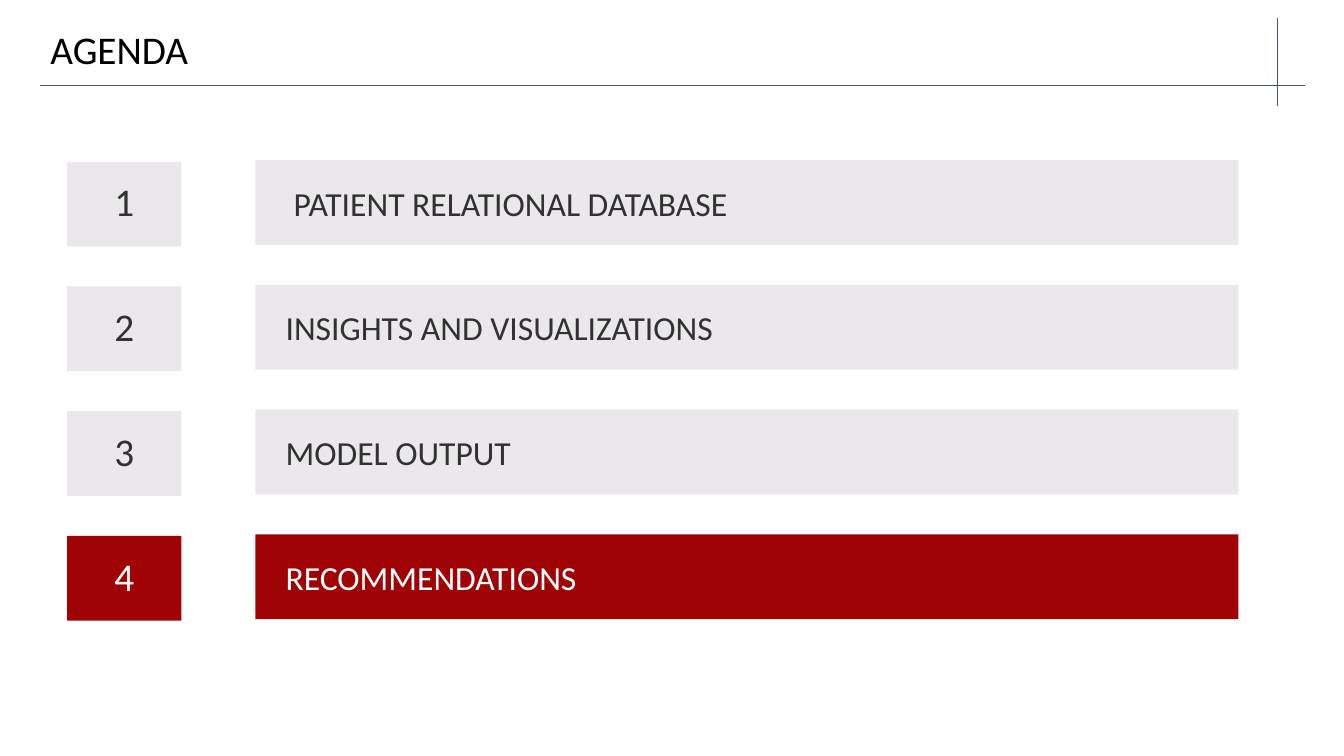
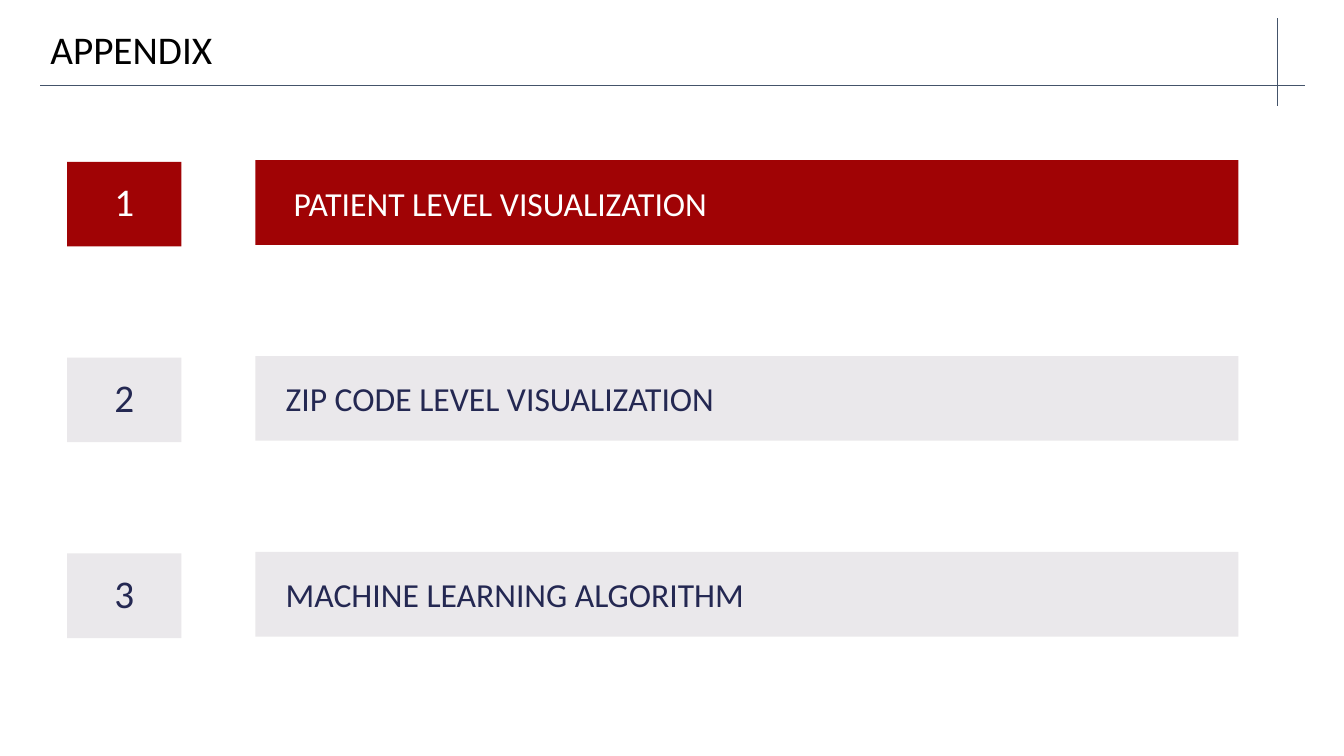
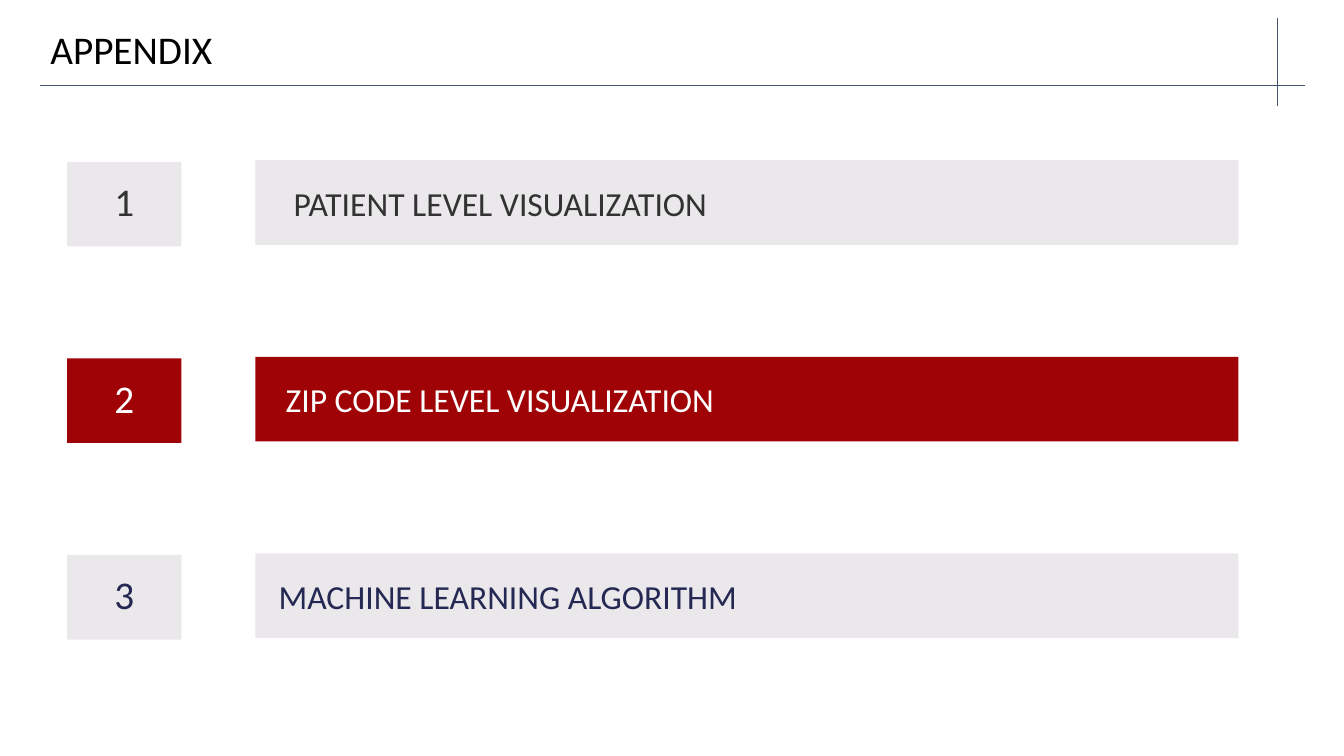
from lxml import etree
from pptx import Presentation
from pptx import util as u
from pptx.dml.color import RGBColor
from pptx.enum import shapes, text
from pptx.oxml import ns

FONT = "Calibri"
RED, PALE, GREY, NAVY = "A00305", "EAE8EB", "323232", "242852"
WHITE, BLACK, RULE = "FFFFFF", "000000", "44546A"

prs = Presentation()
prs.slide_width, prs.slide_height = u.Inches(13.33), u.Inches(7.5)


def rgb(hex_string):
    return RGBColor.from_string(hex_string)


def share(*percents):
    sides = (prs.slide_width, prs.slide_height)
    return [u.Emu(round(v / 100 * sides[i % 2])) for i, v in enumerate(percents)]


LEFT, TOP, RIGHT, RULE_Y = 3, 2.4, 95.05, 11.33
ROW_TOP, ROW_H = 21.2, 11.2
NUM_X, NUM_W, NUM_DROP = 5, 8.5, 0.2
BAR_X, BAR_W = 19, 73.15

slides = [
    ("AGENDA", 4, 16.5, [
        ("PATIENT RELATIONAL DATABASE", 0.38, GREY),
        ("INSIGHTS AND VISUALIZATIONS", 0.3, GREY),
        ("MODEL OUTPUT", 0.3, GREY),
        ("RECOMMENDATIONS", 0.3, GREY)]),
    ("APPENDIX", 1, 25.9, [
        ("PATIENT LEVEL VISUALIZATION", 0.38, GREY),
        ("ZIP CODE LEVEL VISUALIZATION", 0.3, NAVY),
        ("MACHINE LEARNING ALGORITHM", 0.3, NAVY)]),
    ("APPENDIX", 2, 26, [
        ("PATIENT LEVEL VISUALIZATION", 0.38, GREY),
        ("ZIP CODE LEVEL VISUALIZATION", 0.3, NAVY),
        ("MACHINE LEARNING ALGORITHM", 0.23, NAVY)]),
]

layout = prs.slide_layouts[5]
title = layout.shapes.title if hasattr(layout.shapes, "title") else layout.placeholders[0]
title.left, title.top, title.width, title.height = share(LEFT, TOP, RIGHT - LEFT, RULE_Y - TOP)

for heading, active, pitch, rows in slides:
    s = prs.slides.add_slide(layout)
    tf = s.shapes.title.text_frame
    tf.text = heading
    tf.auto_size = text.MSO_AUTO_SIZE.NONE
    tf.vertical_anchor = text.MSO_ANCHOR.MIDDLE
    p = tf.paragraphs[0]
    p.alignment = text.PP_ALIGN.LEFT
    p.line_spacing = 0.9
    p.font.name, p.font.size = FONT, u.Pt(28)
    p.font.color.rgb = rgb(BLACK)

    for i, (label, indent, ink) in enumerate(rows):
        number = i + 1
        fill, color = (RED, WHITE) if number == active else (PALE, ink)
        y = ROW_TOP + i * pitch
        cells = [
            (label, BAR_X, y, BAR_W, 24, text.PP_ALIGN.LEFT, indent, 1.0),
            (str(number), NUM_X, y + NUM_DROP, NUM_W, 28, text.PP_ALIGN.CENTER, 0, 0.9),
        ]
        for words, x, top, w, size, align, inset, spacing in cells:
            sp = s.shapes.add_shape(shapes.MSO_SHAPE.RECTANGLE, *share(x, top, w, ROW_H))
            sp.shadow.inherit = False
            sp.fill.solid()
            sp.fill.fore_color.rgb = rgb(fill)
            sp.line.fill.background()
            tf = sp.text_frame
            tf.margin_left = u.Inches(inset)
            tf.margin_top = tf.margin_right = tf.margin_bottom = 0
            tf.vertical_anchor = text.MSO_ANCHOR.MIDDLE
            tf.text = words
            p = tf.paragraphs[0]
            p.alignment = align
            p.line_spacing = spacing
            p.font.name, p.font.size = FONT, u.Pt(size)
            p.font.color.rgb = rgb(color)

for ends in [(LEFT, RULE_Y, 97.07, RULE_Y), (RIGHT, TOP, RIGHT, 14)]:
    rule = s.shapes.add_connector(shapes.MSO_CONNECTOR.STRAIGHT, *share(*ends))
    rule.line.color.rgb = rgb(RULE)
    rule.line.width = u.Pt(0.75)
    etree.SubElement(rule.element.spPr, ns.qn("a:effectLst"))
    layout.shapes.element.append(rule.element)

prs.save("out.pptx")
